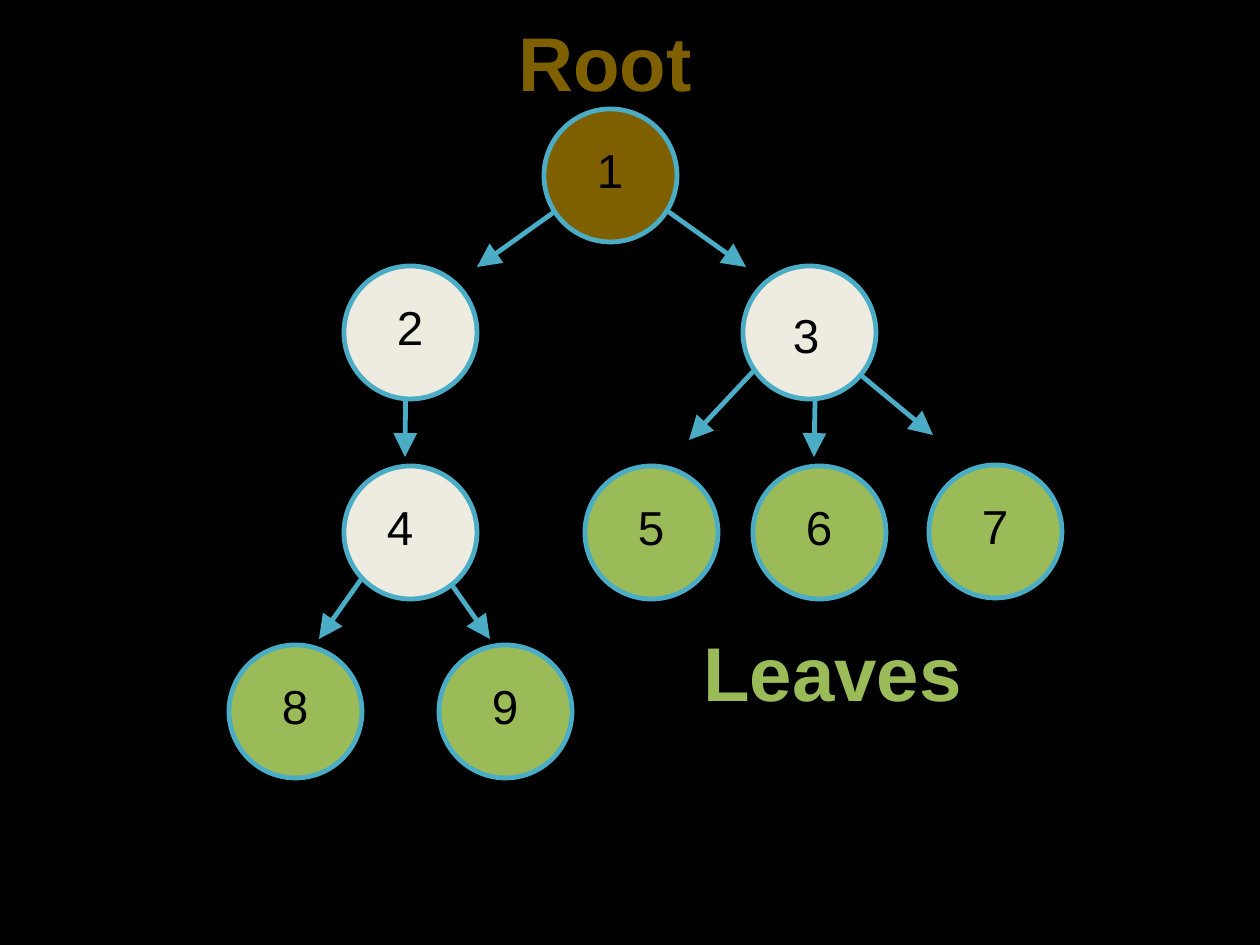
import pptx
import pptx.dml.color
import pptx.enum.shapes
import pptx.enum.text
import pptx.oxml.ns
import pptx.util
from lxml import etree

RGBColor = pptx.dml.color.RGBColor
BLACK = RGBColor(0x00, 0x00, 0x00)
BROWN = RGBColor(0x7F, 0x60, 0x00)
CREAM = RGBColor(0xEE, 0xEC, 0xE1)
GREEN = RGBColor(0x9B, 0xBB, 0x59)
TEAL = RGBColor(0x4B, 0xAC, 0xC6)

EMU_PER_PIXEL = 8000
DIAMETER = 133


class TreeSlide:
    """Hold the style and the current slide, and draw the parts of a tree."""

    font = "Arial"
    number_size = 30
    heading_size = 48
    line_width = 3
    inset = 11

    def __init__(self, deck):
        self.slide = deck.slides.add_slide(deck.slide_layouts[5])
        self.slide.background.fill.solid()
        self.slide.background.fill.fore_color.rgb = BLACK

    def px(self, *lengths):
        return [pptx.util.Emu(length * EMU_PER_PIXEL) for length in lengths]

    def set_text(self, frame, text, size, color, bold=False):
        frame.word_wrap = True
        frame.auto_size = pptx.enum.text.MSO_AUTO_SIZE.NONE
        frame.text = text
        font = frame.paragraphs[0].runs[0].font
        font.name, font.size, font.bold = self.font, pptx.util.Pt(size), bold
        font.color.rgb = color

    def outline(self, line):
        line.color.rgb = TEAL
        line.width = pptx.util.Pt(self.line_width)

    def heading(self, shape, text, color):
        frame = shape.text_frame
        self.set_text(frame, text, self.heading_size, color, bold=True)
        frame.vertical_anchor = pptx.enum.text.MSO_ANCHOR.MIDDLE
        frame.paragraphs[0].alignment = pptx.enum.text.PP_ALIGN.CENTER

    def title(self, text, color, left, top, width, height):
        root = self.slide.shapes.title
        root.left, root.top, root.width, root.height = self.px(left, top, width, height)
        self.heading(root, text, color)

    def caption(self, text, color, left, top, width, height):
        leaves = self.slide.shapes.add_textbox(*self.px(left, top, width, height))
        self.heading(leaves, text, color)

    def arrow(self, start_x, start_y, end_x, end_y):
        edge = self.slide.shapes.add_connector(
            pptx.enum.shapes.MSO_CONNECTOR.STRAIGHT,
            *self.px(start_x, start_y, end_x, end_y))
        self.outline(edge.line)
        properties = edge._element.spPr
        etree.SubElement(properties.get_or_add_ln(), pptx.oxml.ns.qn("a:tailEnd"),
                         type="triangle", w="lg", len="lg")
        etree.SubElement(properties, pptx.oxml.ns.qn("a:effectLst"))

    def node(self, left, top, color):
        node = self.slide.shapes.add_shape(
            pptx.enum.shapes.MSO_SHAPE.OVAL, *self.px(left, top, DIAMETER, DIAMETER))
        node.shadow.inherit = False
        node.fill.solid()
        node.fill.fore_color.rgb = color
        self.outline(node.line)

    def number(self, text, left, top):
        number = self.slide.shapes.add_textbox(*self.px(left, top, 80, 73))
        frame = number.text_frame
        self.set_text(frame, text, self.number_size, BLACK)
        (frame.margin_left, frame.margin_top,
         frame.margin_right, frame.margin_bottom) = self.px(*[self.inset] * 4)


EDGES = [
    (578, 195, 477, 267), (645, 195, 746, 267),
    (406, 351, 405, 457),
    (762, 362, 689, 440), (816, 351, 814, 457), (845, 362, 933, 435),
    (374, 561, 319, 639), (435, 561, 490, 639),
]
NODES = {
    "1": (544, 109, BROWN),
    "2": (344, 266, CREAM), "3": (743, 266, CREAM),
    "4": (344, 466, CREAM),
    "5": (585, 466, GREEN), "6": (753, 466, GREEN), "7": (929, 465, GREEN),
    "8": (229, 645, GREEN), "9": (439, 645, GREEN),
}
NUMBER_OFFSET = (42, 21)
SHIFTED_OFFSETS = {"3": (39, 29), "4": (32, 21)}

deck = pptx.Presentation()
deck.slide_width = pptx.util.Emu(1260 * EMU_PER_PIXEL)
deck.slide_height = pptx.util.Emu(945 * EMU_PER_PIXEL)

tree = TreeSlide(deck)
tree.title("Root", BROWN, 86, 1, 1038, 120)
for edge in EDGES:
    tree.arrow(*edge)
for label, (left, top, color) in NODES.items():
    shift_x, shift_y = SHIFTED_OFFSETS.get(label, NUMBER_OFFSET)
    tree.node(left, top, color)
    tree.number(label, left + shift_x, top + shift_y)
tree.caption("Leaves", GREEN, 461, 551, 743, 241)

deck.save("out.pptx")
